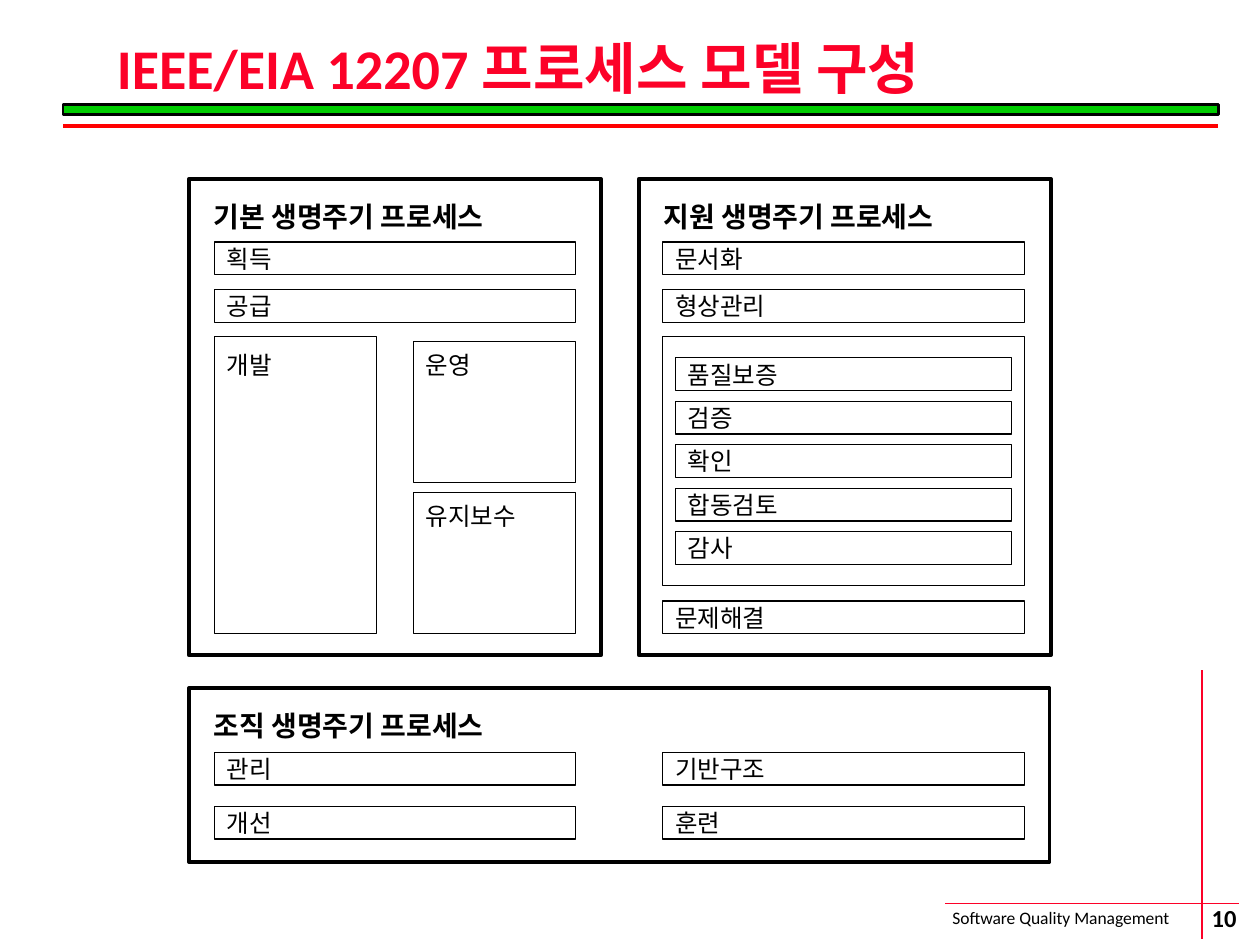
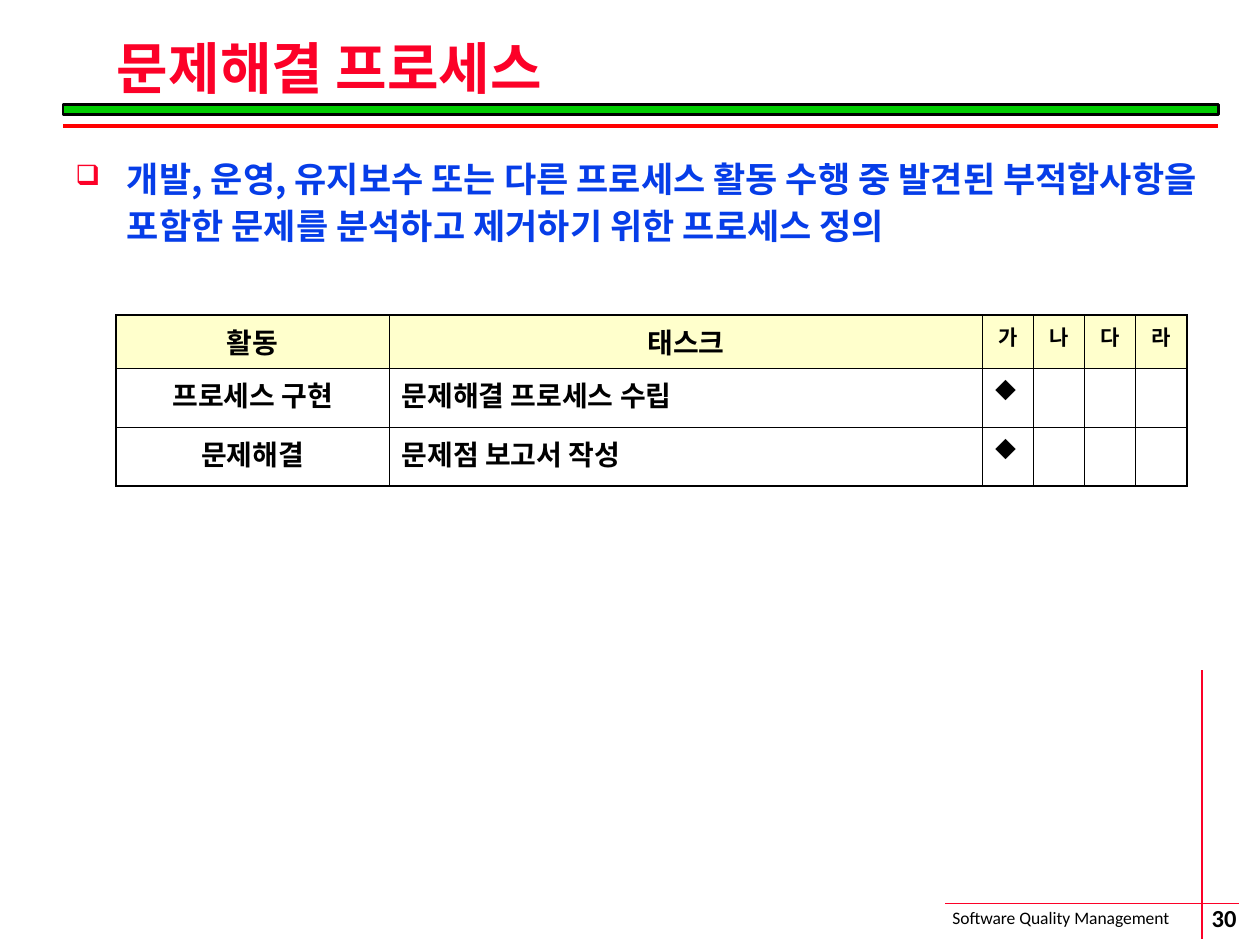
from lxml.etree import SubElement
from pptx import Presentation
from pptx.dml.color import RGBColor
from pptx.enum.shapes import MSO_CONNECTOR, MSO_SHAPE
from pptx.enum.text import MSO_ANCHOR, PP_ALIGN
from pptx.oxml.ns import qn
from pptx.util import Inches, Pt

BLACK, CRIMSON, RED = "000000", "FC0128", "FF0000"
GREEN, BLUE, CREAM = "00CC00", "063DE8", "FFFFCC"
LATIN, SERIF, KOREAN, HEADING = "Calibri", "Times New Roman", "Noto Sans CJK KR", "Cabin"

ROW_H, ROW_W = 0.26, 2.87
LEFT_X, RIGHT_X = 1.7, 5.26


def paint(fill, color):
    fill.solid()
    fill.fore_color.rgb = RGBColor.from_string(color)


def write(p, text, size, font, color=BLACK, bold=False):
    r = p.add_run()
    r.text = text
    r.font.size = Pt(size)
    r.font.bold = bold
    r.font.name = font
    paint(r.font.fill, color)
    SubElement(r._r.get_or_add_rPr(), qn("a:ea")).set("typeface", KOREAN)


def set_frame(tf, anchor, top=0.05):
    tf.word_wrap = True
    tf.vertical_anchor = anchor
    tf.margin_top = Inches(top)
    tf.paragraphs[0].alignment = PP_ALIGN.LEFT
    return tf.paragraphs[0]


def add_text(s, x, y, w, h, anchor=MSO_ANCHOR.MIDDLE):
    sp = s.shapes.add_textbox(Inches(x), Inches(y), Inches(w), Inches(h))
    return set_frame(sp.text_frame, anchor)


def add_rect(s, x, y, w, h, weight, fill=None):
    sp = s.shapes.add_shape(MSO_SHAPE.RECTANGLE, Inches(x), Inches(y), Inches(w), Inches(h))
    sp.shadow.inherit = False
    if fill:
        paint(sp.fill, fill)
    else:
        sp.fill.background()
    paint(sp.line.fill, BLACK)
    sp.line.width = Pt(weight)
    return sp


def add_line(s, x1, y1, x2, y2, color, weight):
    c = s.shapes.add_connector(
        MSO_CONNECTOR.STRAIGHT, Inches(x1), Inches(y1), Inches(x2), Inches(y2))
    paint(c.line.fill, color)
    c.line.width = Pt(weight)
    SubElement(c._element.spPr, qn("a:effectLst"))


def add_process(s, name, x, y, w=ROW_W, h=ROW_H, top=None):
    sp = add_rect(s, x, y, w, h, 0.75)
    if top is None:
        p = set_frame(sp.text_frame, MSO_ANCHOR.MIDDLE)
    else:
        p = set_frame(sp.text_frame, MSO_ANCHOR.TOP, top)
    write(p, name, 14, SERIF)


def add_processes(s, names, x, y, step, w=ROW_W):
    for i, name in enumerate(names):
        add_process(s, name, x, y + i * step, w)


def add_group(s, heading, x, y, w, h):
    add_rect(s, x, y, w, h, 2.25)
    p = add_text(s, x + 0.1, y + 0.17, ROW_W, ROW_H)
    write(p, heading, 16, SERIF, bold=True)


def add_base_slide(prs, title, number):
    s = prs.slides.add_slide(prs.slide_layouts[6])
    add_line(s, 7.5, 7.17, 9.83, 7.17, CRIMSON, 1)
    add_line(s, 9.54, 5.32, 9.54, 7.45, CRIMSON, 1)
    p = add_text(s, 7.46, 7.15, 2.19, 0.27, MSO_ANCHOR.TOP)
    write(p, "Software Quality Management", 10, LATIN)
    p = add_text(s, 9.46, 7.14, 0.51, 0.28)
    p.alignment = PP_ALIGN.CENTER
    write(p, number, 14, LATIN, bold=True)
    add_rect(s, 0.5, 0.83, 9.17, 0.08, 1.5, GREEN)
    add_line(s, 0.5, 1, 9.67, 1, RED, 2.25)
    p = add_text(s, 0.83, 0.33, 8.81, 0.48)
    p.line_spacing = 0.9
    write(p, title, 32, LATIN, CRIMSON, True)
    return s


def add_bullet(s, text):
    p = add_text(s, 0.5, 1.17, 9.17, 0.95, MSO_ANCHOR.TOP)
    p.line_spacing = 1.1
    p.space_before = Pt(7.5)
    pPr = p._p.get_or_add_pPr()
    pPr.set("marL", str(Inches(0.41)))
    pPr.set("indent", str(-Inches(0.41)))
    color = SubElement(pPr, qn("a:buClr"))
    SubElement(color, qn("a:srgbClr")).set("val", CRIMSON)
    SubElement(pPr, qn("a:buSzPct")).set("val", "80000")
    SubElement(pPr, qn("a:buChar")).set("char", "❑")
    write(p, text, 20, KOREAN, BLUE, True)


def set_borders(cell, weights):
    tcPr = cell._tc.get_or_add_tcPr()
    for i, (side, weight) in enumerate(weights.items()):
        ln = SubElement(tcPr, qn(f"a:ln{side}"))
        ln.set("w", str(Pt(weight)))
        fill = SubElement(ln, qn("a:solidFill"))
        SubElement(fill, qn("a:srgbClr")).set("val", BLACK)
        tcPr.insert(i, ln)


def add_task_table(s, rows):
    heights = [0.42, 0.47, 0.47]
    width, activity_w, task_w = 8.5, 2.17, 4.71
    widths = [activity_w, task_w] + [(width - activity_w - task_w) / 4] * 4
    frame = s.shapes.add_table(len(rows), len(widths), Inches(0.92), Inches(2.5),
                               Inches(width), Inches(sum(heights)))
    table = frame.table
    table.first_row = table.horz_banding = False
    for column, w in zip(table.columns, widths):
        column.width = Inches(w)
    for row, h in zip(table.rows, heights):
        row.height = Inches(h)
    outer, inner = 1.08, 0.45
    last_row, last_col = len(rows) - 1, len(widths) - 1
    for i, row in enumerate(rows):
        for j, text in enumerate(row):
            cell = table.cell(i, j)
            if i == 0:
                paint(cell.fill, CREAM)
            else:
                cell.fill.background()
            set_borders(cell, {
                "L": outer if j == 0 else inner,
                "R": outer if j == last_col else inner,
                "T": outer if i == 0 else inner,
                "B": outer if i == last_row else inner,
            })
            if not text:
                continue
            p = cell.text_frame.paragraphs[0]
            p.alignment = PP_ALIGN.CENTER if i == 0 or j == 0 else PP_ALIGN.LEFT
            if j > 1:
                write(p, text, 12, LATIN if i == 0 else KOREAN, bold=i == 0)
            else:
                write(p, text, 16, HEADING if i == 0 else KOREAN, bold=True)


def add_model_slide(prs):
    s = add_base_slide(prs, "IEEE/EIA 12207 프로세스 모델 구성", "10")

    add_group(s, "기본 생명주기 프로세스", 1.5, 1.42, 3.27, 3.78)
    add_processes(s, ["획득", "공급"], LEFT_X, 1.92, 0.38)
    add_process(s, "개발", LEFT_X, 2.67, 1.29, 2.36, 0.11)
    for i, name in enumerate(["운영", "유지보수"]):
        add_process(s, name, 3.28, 2.71 + i * 1.2, 1.29, 1.12, 0.07)

    add_group(s, "지원 생명주기 프로세스", 5.07, 1.42, 3.27, 3.78)
    add_processes(s, ["문서화", "형상관리"], RIGHT_X, 1.92, 0.38)
    add_rect(s, RIGHT_X, 2.67, ROW_W, 1.98, 0.75)
    add_processes(s, ["품질보증", "검증", "확인", "합동검토", "감사"],
                  RIGHT_X + 0.1, 2.84, 0.345, ROW_W - 0.2)
    add_process(s, "문제해결", RIGHT_X, 4.77)

    add_group(s, "조직 생명주기 프로세스", 1.5, 5.46, 6.83, 1.38)
    add_processes(s, ["관리", "개선"], LEFT_X, 5.97, 0.43)
    add_processes(s, ["기반구조", "훈련"], RIGHT_X, 5.97, 0.43)


def add_resolution_slide(prs):
    s = add_base_slide(prs, "문제해결 프로세스", "30")
    add_bullet(s, "개발, 운영, 유지보수 또는 다른 프로세스 활동 수행 중 발견된 "
                  "부적합사항을 포함한 문제를 분석하고 제거하기 위한 프로세스 정의")
    add_task_table(s, [
        ["활동", "태스크", "가", "나", "다", "라"],
        ["프로세스 구현", "문제해결 프로세스 수립", "◆", "", "", ""],
        ["문제해결", "문제점 보고서 작성", "◆", "", "", ""],
    ])


def main():
    prs = Presentation()
    prs.slide_width = Inches(10)
    prs.slide_height = Inches(7.5)
    add_model_slide(prs)
    add_resolution_slide(prs)
    prs.save("out.pptx")


if __name__ == "__main__":
    main()
